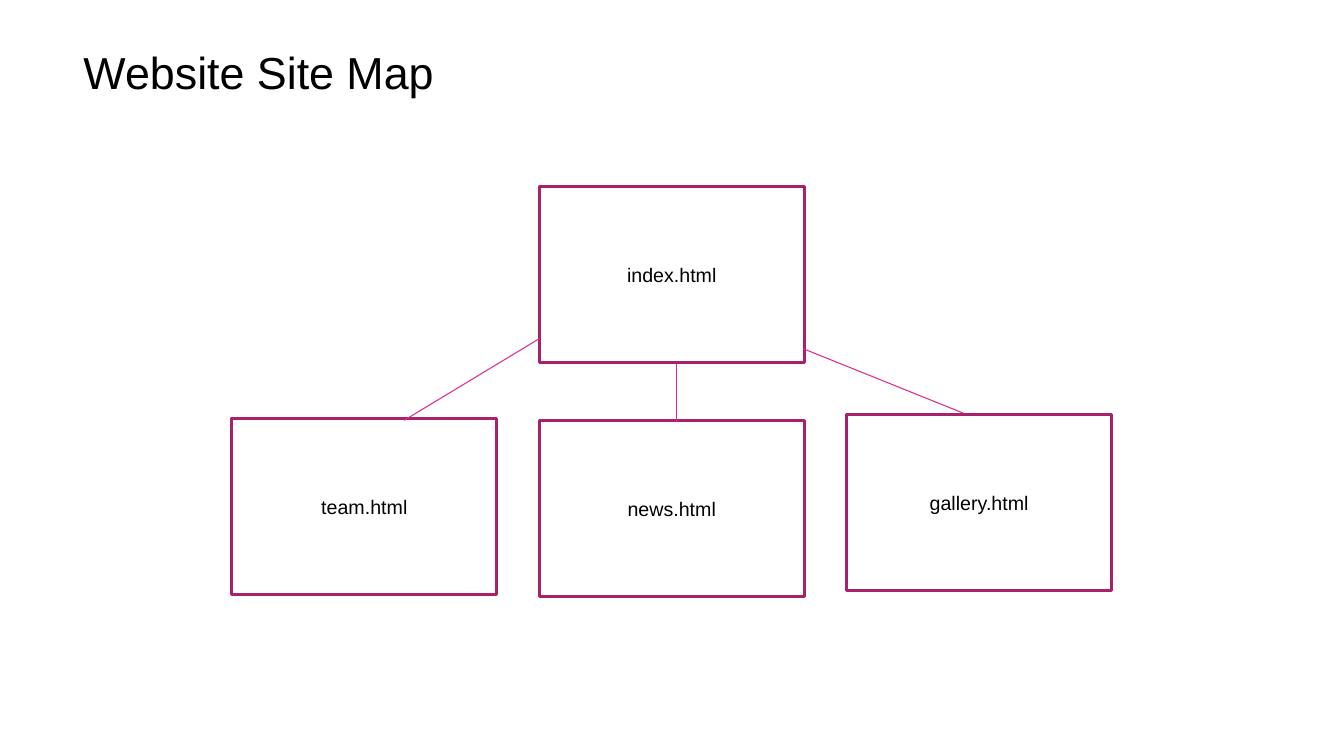
from pptx import Presentation
from pptx.dml.color import RGBColor
from pptx.enum.shapes import MSO_CONNECTOR, MSO_SHAPE
from pptx.enum.text import MSO_ANCHOR, MSO_AUTO_SIZE, PP_ALIGN
from pptx.util import Pt
from lxml.etree import SubElement
from pptx.oxml.ns import qn

BLACK = RGBColor(0x00, 0x00, 0x00)
WHITE = RGBColor(0xFF, 0xFF, 0xFF)
PLUM = RGBColor(0xA8, 0x21, 0x6B)
PINK = RGBColor(0xE2, 0x28, 0x8E)

FONT = "Arial"
PAGE_WIDTH, PAGE_HEIGHT = 189.36, 126
FIRST_COLUMN, COLUMN_STEP = 165.6, 219.6

PAGES = [
    ("index.html", 1, 133.2),
    ("news.html", 1, 300.24),
    ("team.html", 0, 298.8),
    ("gallery.html", 2, 295.92),
]
LINKS = [
    (385.2, 241.92, 288.72, 300.24),
    (483.12, 259.92, 483.12, 301.68),
    (688.32, 295.2, 573.84, 249.12),
]


def write(frame, text, *, size, color=BLACK, align=PP_ALIGN.LEFT, anchor=MSO_ANCHOR.TOP):
    frame.word_wrap = True
    frame.vertical_anchor = anchor
    paragraph = frame.paragraphs[0]
    paragraph.alignment = align
    run = paragraph.add_run()
    run.text = text
    run.font.name = FONT
    run.font.size = Pt(size)
    run.font.color.rgb = color


def add_title(slide, text):
    title = slide.shapes.add_textbox(Pt(52.56), Pt(28.08), Pt(316.08), Pt(46.08))
    write(title.text_frame, text, size=32)
    title.text_frame.auto_size = MSO_AUTO_SIZE.SHAPE_TO_FIT_TEXT


def add_page(slide, file_name, column, top):
    left = FIRST_COLUMN + column * COLUMN_STEP
    page = slide.shapes.add_shape(
        MSO_SHAPE.RECTANGLE, Pt(left), Pt(top), Pt(PAGE_WIDTH), Pt(PAGE_HEIGHT))
    page.shadow.inherit = False
    page.fill.solid()
    page.fill.fore_color.rgb = WHITE
    page.line.color.rgb = PLUM
    page.line.width = Pt(2)
    write(page.text_frame, file_name, size=14,
          align=PP_ALIGN.CENTER, anchor=MSO_ANCHOR.MIDDLE)


def add_link(slide, *ends):
    link = slide.shapes.add_connector(MSO_CONNECTOR.STRAIGHT, *map(Pt, ends))
    link.line.color.rgb = PINK
    link.line.width = Pt(0.75)
    SubElement(link._element.spPr, qn("a:effectLst"))


def main():
    site_map = Presentation()
    site_map.slide_width, site_map.slide_height = Pt(960), Pt(540)
    slide = site_map.slides.add_slide(site_map.slide_layouts[6])
    for page in PAGES:
        add_page(slide, *page)
    for link in LINKS:
        add_link(slide, *link)
    add_title(slide, "Website Site Map")
    site_map.save("out.pptx")


if __name__ == "__main__":
    main()
